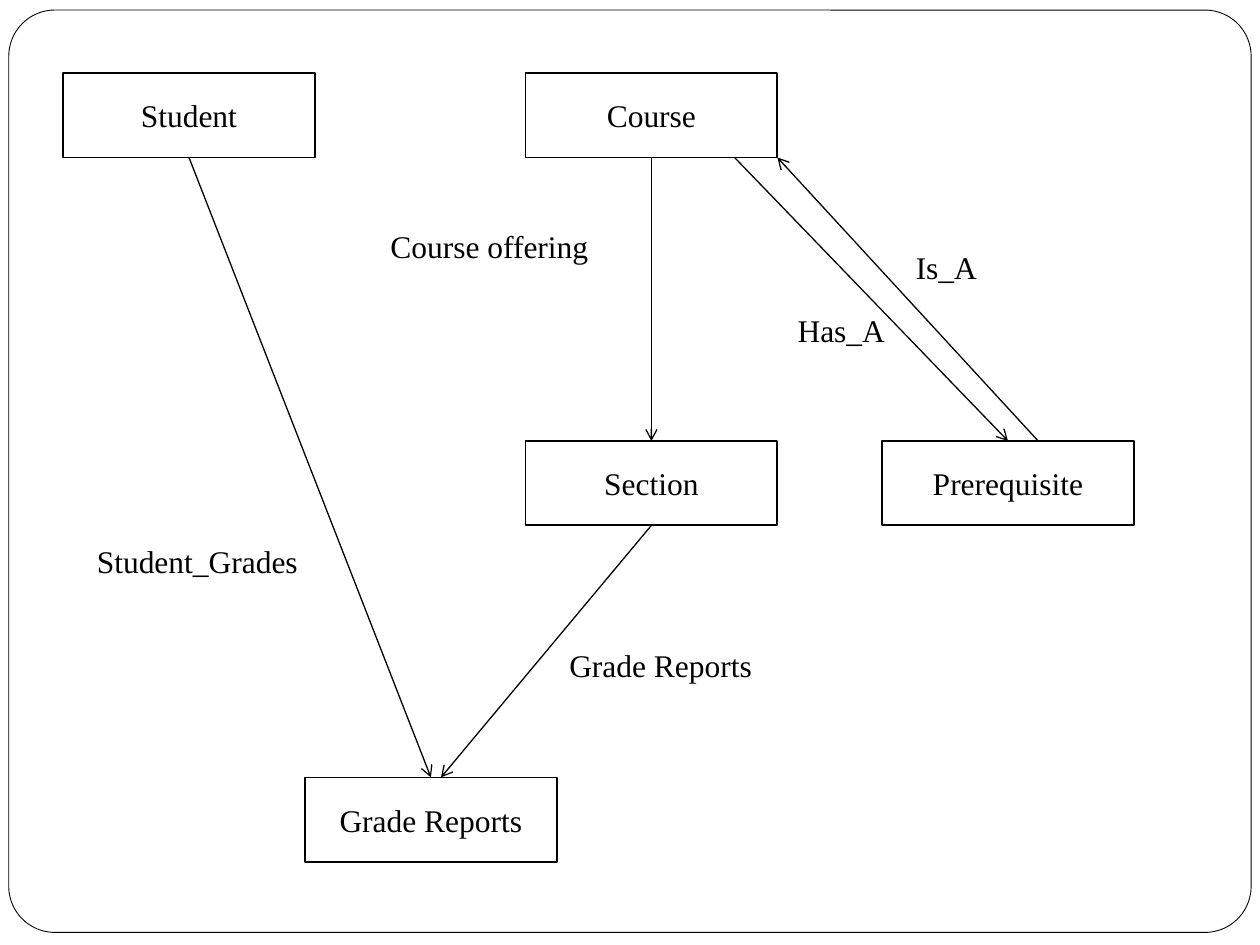
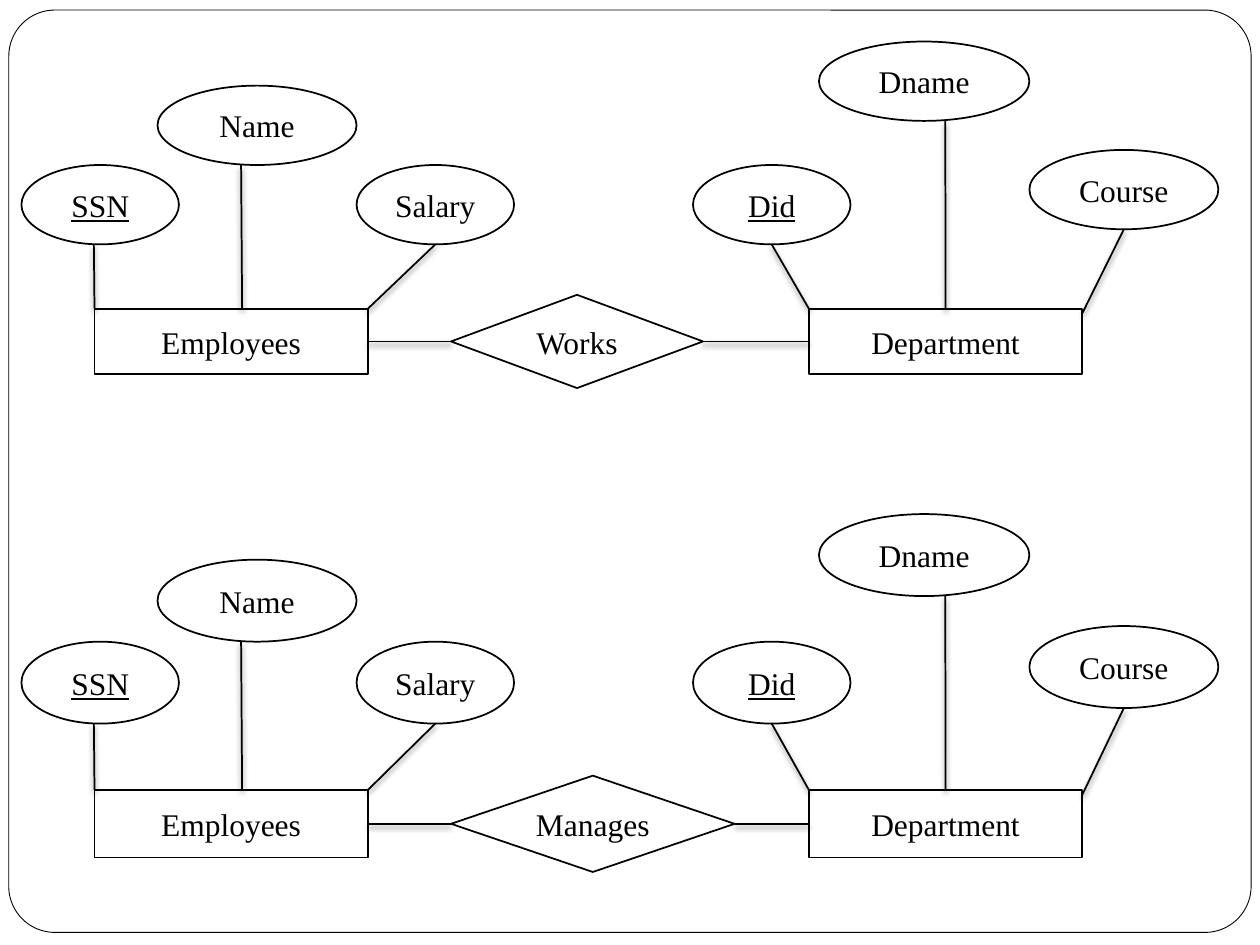
"""Build two database diagrams: a record network and a pair of entity-relationship models."""
from lxml.etree import SubElement
from pptx import Presentation
from pptx.dml.color import RGBColor
from pptx.enum.shapes import MSO_CONNECTOR, MSO_SHAPE
from pptx.enum.text import MSO_ANCHOR, PP_ALIGN
from pptx.oxml.ns import qn
from pptx.util import Inches, Pt

BLACK, WHITE = "000000", "FFFFFF"
FONT = {"name": "Times New Roman", "size": Pt(18)}
FRAME = (0.07, 0.08, 9.86, 7.32)
MARGINS = ("margin_left", "margin_right", "margin_top", "margin_bottom")

RECORD_SIZE = (2, 0.67)
RECORDS = {
    "Student": (0.5, 0.58),
    "Course": (4.17, 0.58),
    "Section": (4.17, 3.5),
    "Grade Reports": (2.42, 6.17),
    "Prerequisite": (7, 3.5),
}
RECORD_LINKS = [
    ("Student", (0.5, 1), "Grade Reports", (0.5, 0)),
    ("Course", (0.5, 1), "Section", (0.5, 0)),
    ("Course", (0.83, 1), "Prerequisite", (0.5, 0)),
    ("Prerequisite", (0.62, 0), "Course", (1, 1)),
    ("Section", (0.5, 1), "Grade Reports", (0.54, 0)),
]
LINK_LABELS = [
    ("Student_Grades", (0.67, 4.25, 2, 0.4), 0.1),
    ("Course offering", (3, 1.75, 2, 0.4), 0.1),
    ("Has_A", (5.17, 2.42, 2.08, 0.42), 1.16),
    ("Is_A", (7.17, 1.92, 1.5, 0.42), 0.1),
    ("Grade Reports", (4.42, 5.08, 1.83, 0.4), 0.1),
]

ENTITIES = {
    "Employees": (0.75, 2.45, 2.17, 0.52),
    "Department": (6.42, 2.45, 2.17, 0.52),
}
ATTRIBUTES = {
    "Salary": (2.83, 1.31, 1.25, 0.63),
    "Name": (1.25, 0.68, 1.58, 0.63),
    "SSN": (0.17, 1.31, 1.25, 0.63),
    "Did": (5.5, 1.31, 1.25, 0.63),
    "Dname": (6.5, 0.33, 1.67, 0.63),
    "Course": (8.17, 1.19, 1.5, 0.63),
}
KEYS = {"SSN", "Did"}
ATTRIBUTE_LINKS = [
    ("SSN", (0.46, 1), "Employees", (0, 0)),
    ("Name", (0.42, 1), "Employees", (0.54, 0)),
    ("Salary", (0.5, 1), "Employees", (1, 0)),
    ("Did", (0.5, 1), "Department", (0, 0)),
    ("Dname", (0.6, 1), "Department", (0.5, 0)),
    ("Course", (0.5, 1), "Department", (1, 0.07)),
]
DIAGRAM_TOP = 0.33
MODELS = [("Works", 2, 0.33, 1), ("Manages", 2.25, 4.08, 1.033)]


def color(value):
    """Turn a hex string into a colour."""
    return RGBColor.from_string(value)


def write(shape, text, **extra):
    """Put text into a shape in the shared font."""
    paragraph = shape.text_frame.paragraphs[0]
    run = paragraph.add_run()
    run.text = text
    for name, value in {**FONT, **extra}.items():
        setattr(run.font, name, value)
    run.font.color.rgb = color(BLACK)
    return paragraph


def add_box(slide, kind, box, text="", fill=None, width=1, **extra):
    """Add an outlined shape with centred text."""
    shape = slide.shapes.add_shape(kind, *map(Inches, box))
    shape.shadow.inherit = False
    shape.line.color.rgb = color(BLACK)
    shape.line.width = Pt(width)
    if fill:
        shape.fill.solid()
        shape.fill.fore_color.rgb = color(fill)
    else:
        shape.fill.background()
    if text:
        frame = shape.text_frame
        frame.vertical_anchor = MSO_ANCHOR.MIDDLE
        for margin in MARGINS:
            setattr(frame, margin, 0)
        write(shape, text, **extra).alignment = PP_ALIGN.CENTER
    return shape


def add_label(slide, text, box, indent):
    """Add a link label whose text starts after the indent."""
    label = slide.shapes.add_textbox(*map(Inches, box))
    label.text_frame.word_wrap = True
    label.text_frame.margin_left = Inches(indent)
    write(label, text)


def anchor(box, position):
    """Find a point given as fractions of a box."""
    left, top, width, height = box
    return Inches(left + width * position[0]), Inches(top + height * position[1])


def add_link(slide, boxes, link, width, arrow=False, shadow=False):
    """Join two boxes with a line."""
    source, start, target, end = link
    line = slide.shapes.add_connector(
        MSO_CONNECTOR.STRAIGHT, *anchor(boxes[source], start), *anchor(boxes[target], end))
    line.line.color.rgb = color(BLACK)
    line.line.width = Pt(width)
    properties = line.element.spPr
    if arrow:
        SubElement(properties.find(qn("a:ln")), qn("a:tailEnd"), type="arrow")
    effects = SubElement(properties, qn("a:effectLst"))
    if shadow:
        outer = SubElement(effects, qn("a:outerShdw"), blurRad=str(Pt(3)), dist=str(Pt(2)),
                           dir="5400000", rotWithShape="0")
        tint = SubElement(outer, qn("a:srgbClr"), val=BLACK)
        SubElement(tint, qn("a:alpha"), val="50000")


def add_framed_slide(presentation):
    """Add a blank slide with the rounded frame."""
    slide = presentation.slides.add_slide(presentation.slide_layouts[6])
    frame = add_box(slide, MSO_SHAPE.ROUNDED_RECTANGLE, FRAME, fill=WHITE, width=0.5)
    frame.adjustments[0] = 0.05
    return slide


def build_network(slide):
    """Draw the records, their arrows and labels."""
    boxes = {name: corner + RECORD_SIZE for name, corner in RECORDS.items()}
    for name, box in boxes.items():
        add_box(slide, MSO_SHAPE.RECTANGLE, box, name, fill=WHITE)
    for link in RECORD_LINKS:
        add_link(slide, boxes, link, 0.75, arrow=True)
    for label in LINK_LABELS:
        add_label(slide, *label)


def build_model(slide, relation, relation_width, top, stretch):
    """Draw one entity-relationship model, stretched downwards from its top."""
    diamond = {relation: (3.58, 2.34, relation_width, 0.74)}
    groups = [(MSO_SHAPE.RECTANGLE, ENTITIES), (MSO_SHAPE.DIAMOND, diamond),
              (MSO_SHAPE.OVAL, ATTRIBUTES)]
    boxes = {}
    for kind, group in groups:
        for name, (left, y, width, height) in group.items():
            boxes[name] = (left, top + (y - DIAGRAM_TOP) * stretch, width, height * stretch)
            add_box(slide, kind, boxes[name], name, underline=name in KEYS)
    relation_links = [
        ("Employees", (1, 0.5), relation, (0, 0.5)),
        (relation, (1, 0.5), "Department", (0, 0.5)),
    ]
    for link in ATTRIBUTE_LINKS + relation_links:
        add_link(slide, boxes, link, 1, shadow=True)


def main():
    """Build and save the presentation."""
    presentation = Presentation()
    presentation.slide_width, presentation.slide_height = Inches(10), Inches(7.5)
    build_network(add_framed_slide(presentation))
    model_slide = add_framed_slide(presentation)
    for model in MODELS:
        build_model(model_slide, *model)
    presentation.save("out.pptx")


if __name__ == "__main__":
    main()
